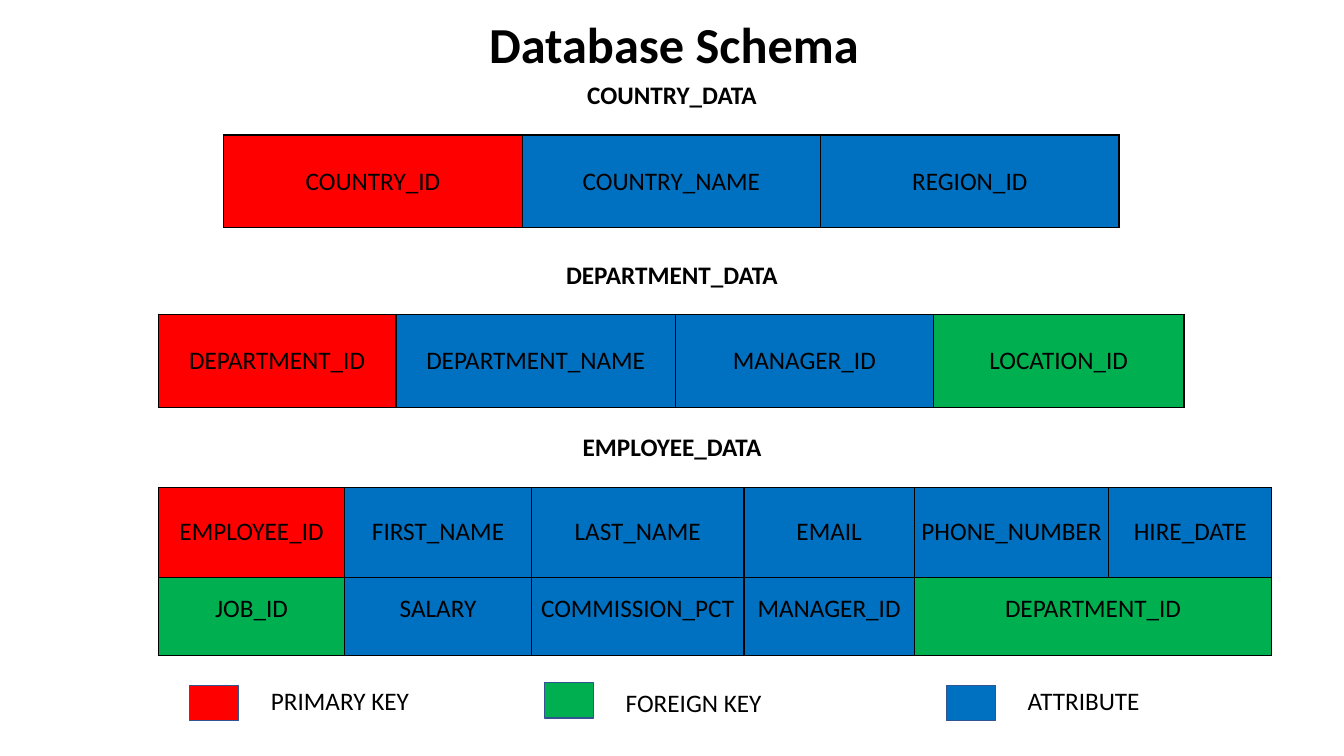
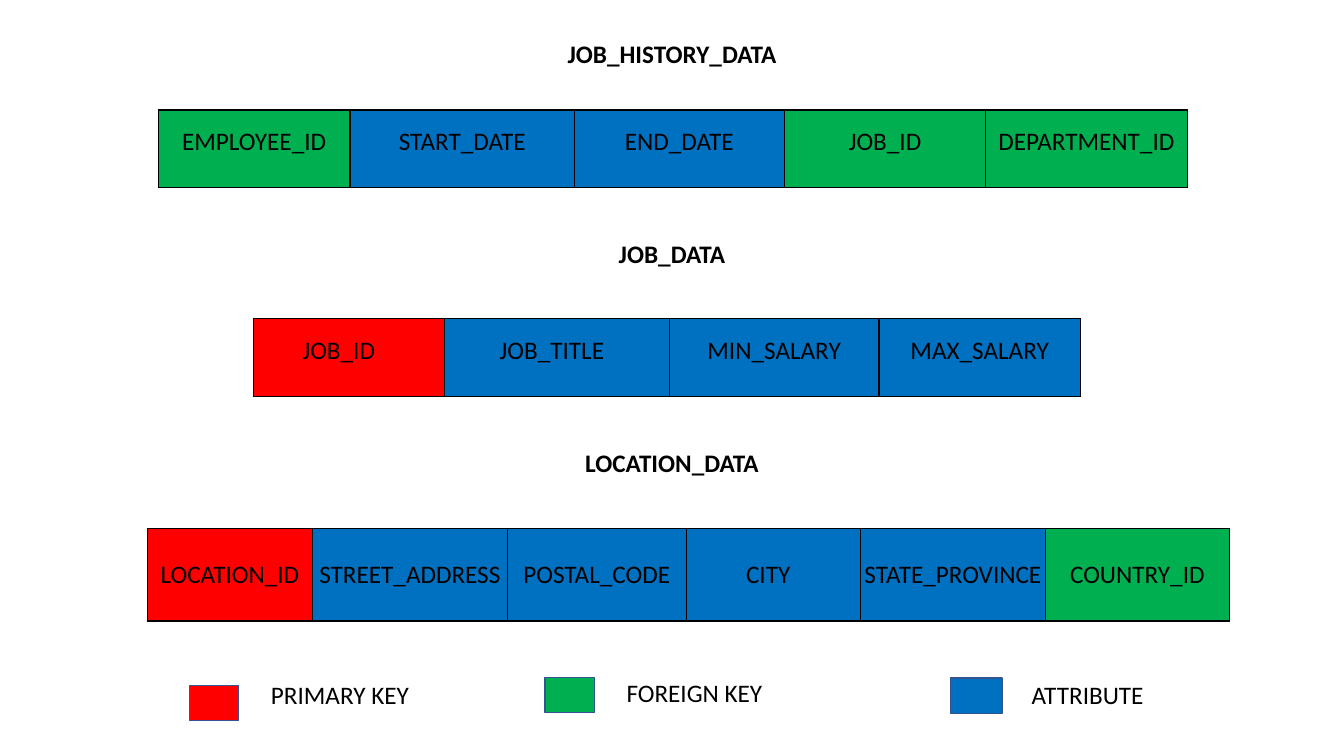
import pptx
import pptx.dml.color
import pptx.enum.shapes
import pptx.enum.text
import pptx.oxml
import pptx.oxml.ns
import pptx.util
from collections import namedtuple

Cm, Pt = pptx.util.Cm, pptx.util.Pt
RGBColor = pptx.dml.color.RGBColor
ALIGN = pptx.enum.text.PP_ALIGN
ANCHOR = pptx.enum.text.MSO_ANCHOR

# Colours
BLACK = RGBColor(0x00, 0x00, 0x00)
RED = RGBColor(0xFF, 0x00, 0x00)
GREEN = RGBColor(0x00, 0xB0, 0x50)
BLUE = RGBColor(0x00, 0x70, 0xC0)
SWATCH_EDGE = RGBColor(0x32, 0x54, 0x91)

# Shared formats
SLIDE_WIDTH, SLIDE_HEIGHT = 33.87, 19.05
BODY_FONT = {"name": "Calibri", "size": Pt(18), "bold": False}
HEADING_FONT = {**BODY_FONT, "bold": True}
TITLE_FONT = {**HEADING_FONT, "size": Pt(36)}
CELL_FORMAT = {
    "vertical_anchor": ANCHOR.BOTTOM, "margin_left": Cm(0.03),
    "margin_right": Cm(0.03), "margin_top": Cm(0.03), "margin_bottom": Cm(0.77),
}
PLAIN_TABLE = {"first_row": False, "horz_banding": False}

# Key kinds and their legend
KINDS = {"PRIMARY KEY": RED, "FOREIGN KEY": GREEN, "ATTRIBUTE": BLUE}
LABEL_OFFSET = 1.8

# rows: (height, fields); a field is (name, colour) or (name, colour, right gap),
# and None continues the field to its left
Entity = namedtuple("Entity", "name heading_top left top columns rows")
JOB_COLUMNS = [4.83, 5.66, 5.28, 5.08]

CORE_ENTITIES = [
    Entity("COUNTRY_DATA", 1.88, 5.64, 3.4, [7.52] * 3, [
        (2.34, [("COUNTRY_ID", RED), ("COUNTRY_NAME", BLUE), ("REGION_ID", BLUE)]),
    ]),
    Entity("DEPARTMENT_DATA", 6.4, 3.99, 7.92, [5.99, 7.04, 6.5, 6.32], [
        (2.34, [("DEPARTMENT_ID", RED), ("DEPARTMENT_NAME", BLUE),
                ("MANAGER_ID", BLUE), ("LOCATION_ID", GREEN)]),
    ]),
    Entity("EMPLOYEE_DATA", 10.74, 3.99, 12.29, [4.7, 4.7, 5.36, 4.29, 4.9, 4.11], [
        (2.26, [("EMPLOYEE_ID", RED), ("FIRST_NAME", BLUE), ("LAST_NAME", BLUE),
                ("EMAIL", BLUE), ("PHONE_NUMBER", BLUE), ("HIRE_DATE", BLUE)]),
        (1.96, [("JOB_ID", GREEN), ("SALARY", BLUE), ("COMMISSION_PCT", BLUE),
                ("MANAGER_ID", BLUE), ("DEPARTMENT_ID", GREEN), None]),
    ]),
]
JOB_ENTITIES = [
    Entity("JOB_HISTORY_DATA", 0.84, 3.99, 2.77, JOB_COLUMNS + [5.08], [
        (1.96, [("EMPLOYEE_ID", GREEN), ("START_DATE", BLUE), ("END_DATE", BLUE),
                ("JOB_ID", GREEN), ("DEPARTMENT_ID", GREEN)]),
    ]),
    Entity("JOB_DATA", 5.87, 6.38, 8.03, JOB_COLUMNS, [
        (1.96, [("JOB_ID", RED, 0.55), ("JOB_TITLE", BLUE, 0.3),
                ("MIN_SALARY", BLUE), ("MAX_SALARY", BLUE)]),
    ]),
    Entity("LOCATION_DATA", 11.15, 3.71, 13.31, [4.17, 4.9, 4.52, 4.39, 4.65, 4.65], [
        (2.34, [("LOCATION_ID", RED), ("STREET_ADDRESS", BLUE), ("POSTAL_CODE", BLUE),
                ("CITY", BLUE, 0.3), ("STATE_PROVINCE", BLUE), ("COUNTRY_ID", GREEN)]),
    ]),
]

# (swatch left, swatch top, swatch width, label top) for each kind
CORE_LEGEND = [(4.78, 17.27, 1.24, 17.15), (13.72, 17.2, 1.24, 17.2),
               (23.85, 17.27, 1.24, 17.15)]
JOB_LEGEND = [(4.78, 17.27, 1.24, 16.99), (13.74, 17.07, 1.24, 16.94),
              (23.95, 17.09, 1.3, 16.99)]


def apply_format(target, values):
    for attribute, value in values.items():
        setattr(target, attribute, value)


def write_text(frame, text, font, align):
    """Put one formatted paragraph into a text frame."""
    paragraph = frame.paragraphs[0]
    paragraph.alignment = align
    run = paragraph.add_run()
    run.text = text
    apply_format(run.font, font)
    run.font.color.rgb = BLACK


def add_label(slide, text, left, top, width, font, align):
    box = slide.shapes.add_textbox(Cm(left), Cm(top), Cm(width), Cm(1.02))
    box.text_frame.word_wrap = True
    write_text(box.text_frame, text, font, align)


def add_borders(cell):
    """Draw a thin black line on each side of a cell."""
    properties = cell._tc.get_or_add_tcPr()
    for side in ("lnL", "lnR", "lnT", "lnB"):
        properties.append(pptx.oxml.parse_xml(
            f'<a:{side} {pptx.oxml.ns.nsdecls("a")} w="12700"><a:solidFill>'
            f'<a:srgbClr val="{BLACK}"/></a:solidFill></a:{side}>'))


def add_field(cell, name, colour, right_gap=0.03):
    apply_format(cell, CELL_FORMAT)
    cell.margin_right = Cm(right_gap)
    cell.fill.solid()
    cell.fill.fore_color.rgb = colour
    write_text(cell.text_frame, name, BODY_FONT, ALIGN.CENTER)


def add_entity(slide, entity, heading_width):
    """Add an entity's heading and its table of fields."""
    add_label(slide, entity.name, (SLIDE_WIDTH - heading_width) / 2,
              entity.heading_top, heading_width, HEADING_FONT, ALIGN.CENTER)
    table = slide.shapes.add_table(
        len(entity.rows), len(entity.columns), Cm(entity.left), Cm(entity.top),
        Cm(sum(entity.columns)), Cm(sum(height for height, _ in entity.rows))).table
    apply_format(table, PLAIN_TABLE)
    for column, width in zip(table.columns, entity.columns):
        column.width = Cm(width)
    for r, (height, fields) in enumerate(entity.rows):
        table.rows[r].height = Cm(height)
        for c, field in enumerate(fields):
            cell = table.cell(r, c)
            add_borders(cell)
            if field:
                add_field(cell, *field)
            else:
                table.cell(r, c - 1).merge(cell)


def add_legend(slide, places):
    for (kind, colour), (left, top, width, label_top) in zip(KINDS.items(), places):
        swatch = slide.shapes.add_shape(
            pptx.enum.shapes.MSO_SHAPE.RECTANGLE, Cm(left), Cm(top), Cm(width), Cm(0.89))
        swatch.shadow.inherit = False
        swatch.fill.solid()
        swatch.fill.fore_color.rgb = colour
        swatch.line.color.rgb = SWATCH_EDGE
        swatch.line.width = Pt(1)
        add_label(slide, kind, left + LABEL_OFFSET, label_top, 6.05, BODY_FONT, ALIGN.LEFT)


def add_title(slide, text):
    title = slide.shapes.title
    apply_format(title, {"left": Cm(12.07), "top": Cm(0.2),
                         "width": Cm(9.93), "height": Cm(1.8)})
    apply_format(title.text_frame, {
        "word_wrap": False, "vertical_anchor": ANCHOR.MIDDLE,
        "auto_size": pptx.enum.text.MSO_AUTO_SIZE.NONE})
    write_text(title.text_frame, text, TITLE_FONT, ALIGN.LEFT)


def add_schema(slide, entities, heading_width, legend):
    for entity in entities:
        add_entity(slide, entity, heading_width)
    add_legend(slide, legend)


def main():
    deck = pptx.Presentation()
    apply_format(deck, {"slide_width": Cm(SLIDE_WIDTH), "slide_height": Cm(SLIDE_HEIGHT)})
    title_only, blank = deck.slide_layouts[5], deck.slide_layouts[6]

    # Countries, departments and employees
    core = deck.slides.add_slide(title_only)
    add_title(core, "Database Schema")
    add_schema(core, CORE_ENTITIES, 7.47, CORE_LEGEND)

    # Jobs and locations
    jobs = deck.slides.add_slide(blank)
    add_schema(jobs, JOB_ENTITIES, 8.41, JOB_LEGEND)

    deck.save("out.pptx")


if __name__ == "__main__":
    main()
